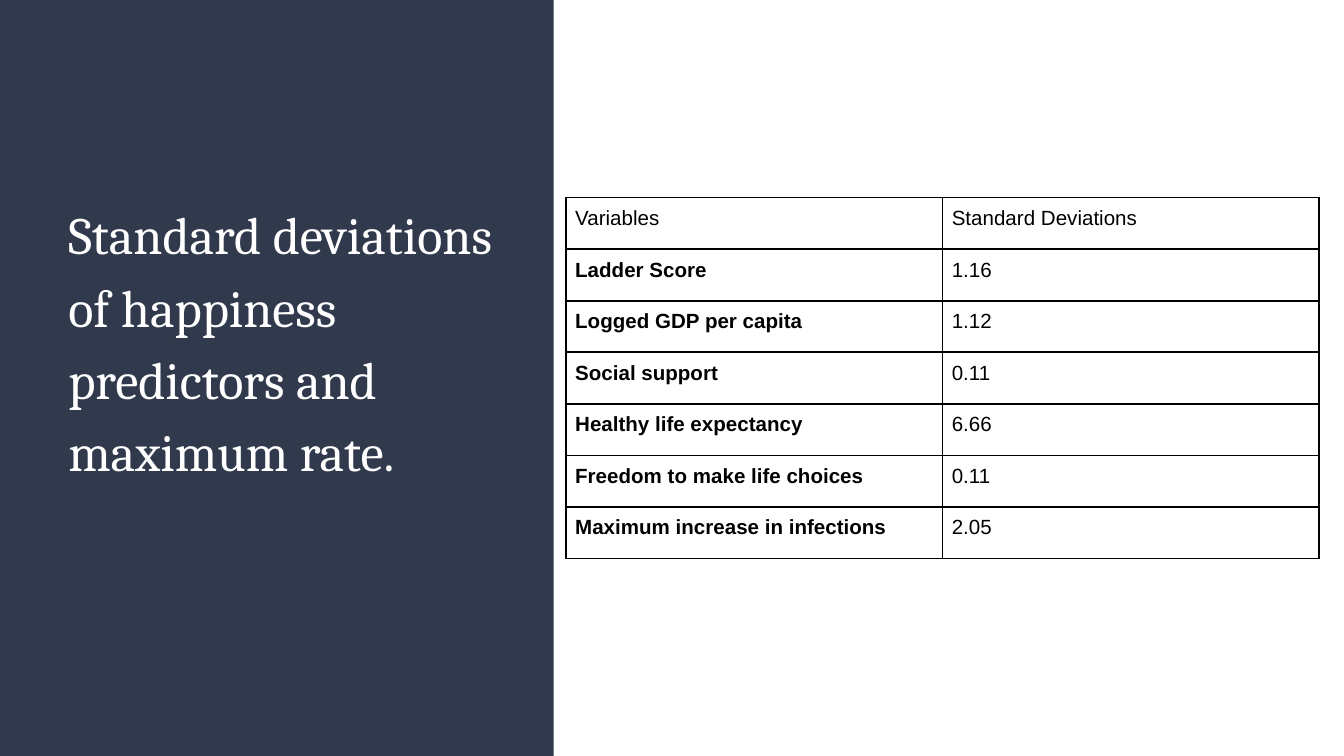
import pptx
import pptx.dml.color
import pptx.enum.shapes
import pptx.enum.text
import pptx.util
from lxml import etree
from pptx.oxml.ns import qn

WIDTH = pptx.util.Inches(10)
HEIGHT = WIDTH * 9 // 16
NAVY, WHITE, BLACK = "31394D", "FFFFFF", "000000"
ROWS = [
    ("Variables", "Standard Deviations"),
    ("Ladder Score", "1.16"),
    ("Logged GDP per capita", "1.12"),
    ("Social support", "0.11"),
    ("Healthy life expectancy", "6.66"),
    ("Freedom to make life choices", "0.11"),
    ("Maximum increase in infections", "2.05"),
]


def color(hex_text):
    return pptx.dml.color.RGBColor.from_string(hex_text)


def share(length, percent):
    return int(length * percent / 100)


def inset(frame, margin):
    """Set the same margin on all sides of a cell or text frame."""
    frame.margin_left = frame.margin_right = margin
    frame.margin_top = frame.margin_bottom = margin


def format_run(r, font, size, hex_text, bold=False):
    r.font.name, r.font.size, r.font.bold = font, pptx.util.Pt(size), bold
    r.font.color.rgb = color(hex_text)


def border_cell(cell, hex_text, points):
    """Draw a solid line on the four sides of a cell."""
    tcPr = cell._tc.get_or_add_tcPr()
    for i, side in enumerate(("a:lnL", "a:lnR", "a:lnT", "a:lnB")):
        ln = etree.Element(qn(side), w=str(pptx.util.Pt(points)))
        fill = etree.SubElement(ln, qn("a:solidFill"))
        etree.SubElement(fill, qn("a:srgbClr"), val=hex_text)
        tcPr.insert(i, ln)


def add_title_panel(s, left, top, width, height, text):
    panel = s.shapes.add_shape(
        pptx.enum.shapes.MSO_SHAPE.RECTANGLE, left, top, width, height)
    panel.shadow.inherit = False
    panel.fill.solid()
    panel.fill.fore_color.rgb = color(NAVY)
    panel.line.fill.background()

    title = s.shapes.title
    title._element.addprevious(panel._element)  # panel goes behind the title
    title.left, title.top = left + share(width, 9.9), top + share(height, 23.8)
    title.width, title.height = share(width, 82.3), share(height, 52.5)
    tf = title.text_frame
    tf.text = text
    tf.word_wrap = True
    tf.auto_size = pptx.enum.text.MSO_AUTO_SIZE.NONE
    tf.vertical_anchor = pptx.enum.text.MSO_ANCHOR.TOP
    inset(tf, pptx.util.Inches(0.1))
    p = tf.paragraphs[0]
    p.alignment = pptx.enum.text.PP_ALIGN.LEFT
    p.line_spacing = 1.15
    p.space_before = pptx.util.Pt(0)
    format_run(p.runs[0], "Cambria", 28, WHITE)


def add_deviation_table(s, left, top, width, height, rows):
    """Add a grid of equal cells, with bold labels below the header."""
    table = s.shapes.add_table(
        len(rows), len(rows[0]), left, top, width, height).table
    table.first_row = table.horz_banding = False
    for i, row in enumerate(rows):
        for j, text in enumerate(row):
            cell = table.cell(i, j)
            cell.text = text
            cell.fill.background()
            inset(cell, pptx.util.Inches(0.07))
            border_cell(cell, BLACK, 1)
            format_run(cell.text_frame.paragraphs[0].runs[0], "Arial", 11,
                       BLACK, bold=i > 0 and j == 0)


def main():
    prs = pptx.Presentation()
    prs.slide_width, prs.slide_height = WIDTH, HEIGHT
    s = prs.slides.add_slide(prs.slide_layouts[5])
    s.background.fill.solid()
    s.background.fill.fore_color.rgb = color(WHITE)
    add_title_panel(
        s, 0, 0, share(WIDTH, 41.2), HEIGHT,
        "Standard deviations of happiness predictors and maximum rate.")
    add_deviation_table(
        s, share(WIDTH, 42.1), share(HEIGHT, 26.15),
        share(WIDTH, 56.05), share(HEIGHT, 47.75), ROWS)
    prs.save("out.pptx")


if __name__ == "__main__":
    main()
